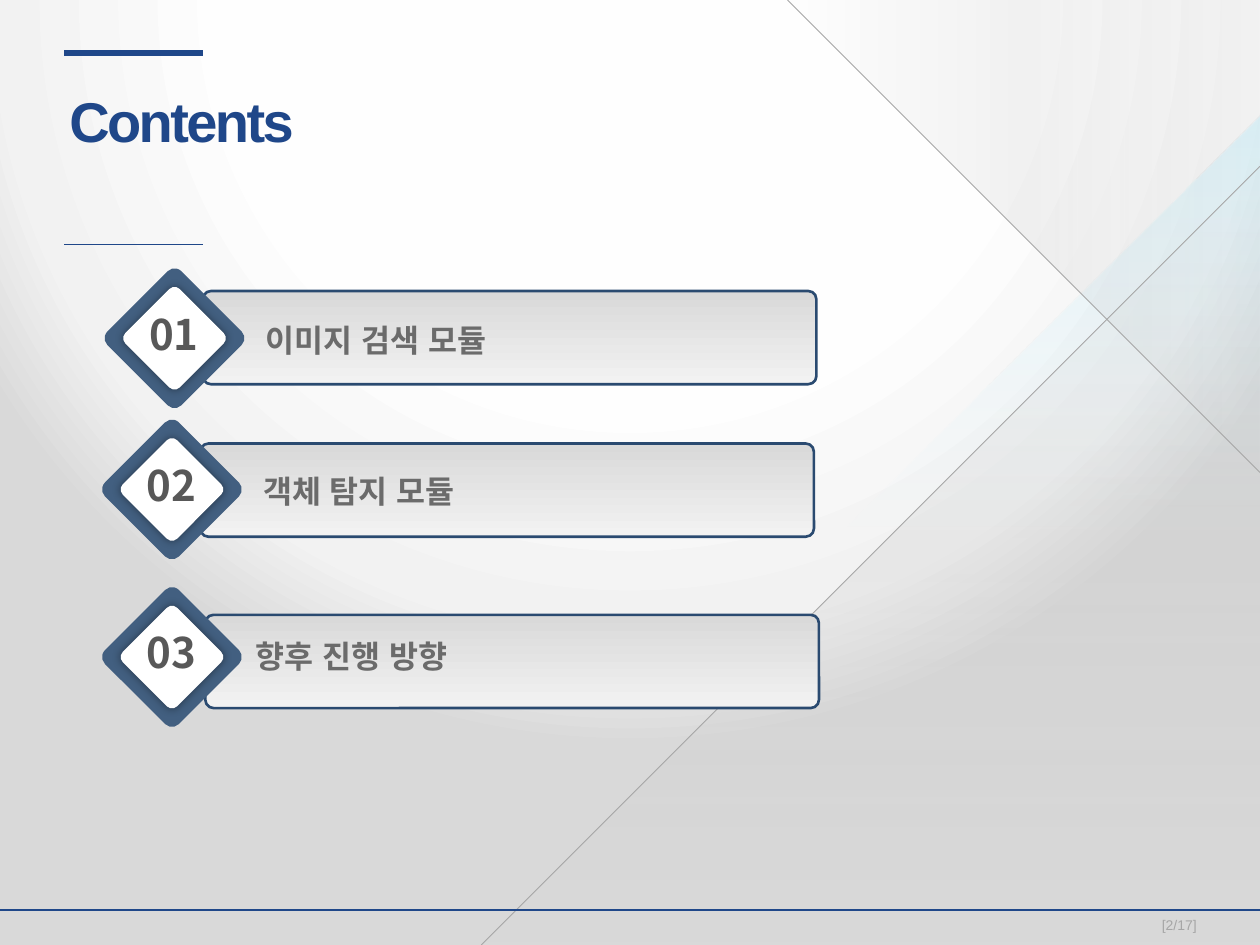
from typing import NamedTuple

import lxml.etree
import pptx
import pptx.dml.color
import pptx.enum.shapes
import pptx.enum.text
import pptx.oxml
import pptx.oxml.ns
import pptx.util

Inches = pptx.util.Inches
Kind = pptx.enum.shapes.MSO_SHAPE
Align = pptx.enum.text.PP_ALIGN
Anchor = pptx.enum.text.MSO_ANCHOR
qn = pptx.oxml.ns.qn

COLORS = {
    "navy": "1F4789", "edge": "2A4A70", "slate": "425F80", "white": "FFFFFF",
    "label": "6B6B6B", "number": "585858", "gray": "A6A6A6", "veil": "BFBFBF",
    "pale": "F2F2F2", "silver": "D9D9D9", "bright": "FEFEFE",
    "ice": "D0F3FE", "sky": "A1E7FC",
}


class Stop(NamedTuple):
    pos: int
    color: str
    alpha: int = 100


class Row(NamedTuple):
    num: str
    text: str
    gem: tuple[float, float]
    bar: tuple[float, float]
    label: tuple[float, float]


class Wedge(NamedTuple):
    box: tuple[float, float, float, float]
    turn: int
    stops: list[Stop]


class Rule(NamedTuple):
    start: tuple[float, float]
    end: tuple[float, float]
    color: str
    width: float


GLOW = [Stop(0, "white"), Stop(50, "bright"), Stop(80, "pale"), Stop(95, "silver")]
SHINE = [Stop(1, "pale"), Stop(99, "silver")]
HAZE = [Stop(0, "veil", 0), Stop(50, "veil", 20), Stop(100, "veil", 0)]
BEAM = [Stop(0, "veil", 0), Stop(50, "ice", 0), Stop(100, "sky", 30)]

WEDGES = [
    Wedge((3.4, 0.9, 6.58, 6.62), 270, BEAM),
    Wedge((3.82, 1.32, 6.18, 6.18), 270, HAZE),
    Wedge((6.25, 0, 3.75, 3.75), 180, HAZE),
]
RULES = [
    Rule((3.82, 7.5), (10, 1.32), "gray", 0.5),
    Rule((6.25, 0), (10, 3.75), "gray", 0.5),
    Rule((0, 7.22), (10, 7.22), "navy", 1),
    Rule((0.51, 0.42), (1.61, 0.42), "navy", 3),
    Rule((0.51, 1.94), (1.61, 1.94), "navy", 1),
]
ROWS = [
    Row("01", "이미지 검색 모듈", (0.97, 2.27), (1.61, 2.31), (1.99, 2.42)),
    Row("02", "객체 탐지 모듈", (0.95, 3.47), (1.59, 3.52), (1.97, 3.62)),
    Row("03", "향후 진행 방향", (0.95, 4.8), (1.63, 4.88), (1.91, 4.93)),
]


def rgb(name: str) -> pptx.dml.color.RGBColor:
    return pptx.dml.color.RGBColor.from_string(COLORS[name])


def shade(props, stops: list[Stop], shape: str) -> None:
    """Swap the solid fill in props for a gradient of the given stops."""
    marks = "".join(
        f'<a:gs pos="{s.pos * 1000}"><a:srgbClr val="{COLORS[s.color]}">'
        f'<a:alpha val="{s.alpha * 1000}"/></a:srgbClr></a:gs>' for s in stops)
    grad = pptx.oxml.parse_xml(
        f'<a:gradFill {pptx.oxml.ns.nsdecls("a")} rotWithShape="1">'
        f"<a:gsLst>{marks}</a:gsLst>{shape}</a:gradFill>")
    props.replace(props.find(qn("a:solidFill")), grad)


def slant(angle: int) -> str:
    return f'<a:lin ang="{angle * 60000}" scaled="0"/>'


def block(slide, kind, box, fill: str, turn: int = 0, round: float | None = None):
    item = slide.shapes.add_shape(kind, *map(Inches, box))
    item.shadow.inherit = False
    item.rotation = turn
    item.fill.solid()
    item.fill.fore_color.rgb = rgb(fill)
    item.line.fill.background()
    if round is not None:
        item.adjustments[0] = round
    return item


def rule(slide, spec: Rule) -> None:
    line = slide.shapes.add_connector(
        pptx.enum.shapes.MSO_CONNECTOR.STRAIGHT, *map(Inches, spec.start + spec.end))
    line.line.color.rgb = rgb(spec.color)
    line.line.width = pptx.util.Pt(spec.width)
    lxml.etree.SubElement(line.element.spPr, qn("a:effectLst"))


def write(item, text: str, *, size: float, color: str, font: str = "Arial",
          bold: bool = False, align=Align.LEFT, wrap: bool = True,
          inset=(0, 0, 0, 0), track: float = 0) -> None:
    frame = item.text_frame
    frame.word_wrap = wrap
    frame.vertical_anchor = Anchor.MIDDLE
    (frame.margin_left, frame.margin_top,
     frame.margin_right, frame.margin_bottom) = map(Inches, inset)
    para = frame.paragraphs[0]
    para.alignment = align
    run = para.add_run()
    run.text = text
    run.font.size = pptx.util.Pt(size)
    run.font.bold = bold
    run.font.name = font
    run.font.color.rgb = rgb(color)
    props = run.font._element
    lxml.etree.SubElement(props, qn("a:ea")).set("typeface", font)
    if track:
        props.set("spc", str(int(track * 100)))


def label(slide, box, text: str, **style) -> None:
    write(slide.shapes.add_textbox(*map(Inches, box)), text, **style)


def glow(item) -> None:
    """Add a soft dark edge around the item."""
    effects = item.element.spPr.find(qn("a:effectLst"))
    effects.append(pptx.oxml.parse_xml(
        f'<a:outerShdw {pptx.oxml.ns.nsdecls("a")} blurRad="{pptx.util.Pt(5)}" '
        'dist="0" dir="0" algn="ctr" rotWithShape="0"><a:srgbClr val="000000">'
        '<a:alpha val="40000"/></a:srgbClr></a:outerShdw>'))


def entry(slide, row: Row) -> None:
    # Bar
    bar = block(slide, Kind.ROUNDED_RECTANGLE, (*row.bar, 4.87, 0.74), "pale", round=0.088)
    shade(bar.element.spPr, SHINE, slant(270))
    bar.line.color.rgb = rgb("edge")
    bar.line.width = pptx.util.Pt(1.5)
    # Diamond with its number
    x, y = row.gem
    block(slide, Kind.ROUNDED_RECTANGLE, (x, y, 0.83, 0.83), "slate", 45, 0.094)
    glow(block(slide, Kind.ROUNDED_RECTANGLE, (x + 0.11, y + 0.11, 0.61, 0.61),
               "white", 45, 0.094))
    disc = block(slide, Kind.OVAL, (x + 0.12, y + 0.16, 0.58, 0.43), "white")
    disc.fill.background()
    write(disc, row.num, size=24, color="number", font="Noto Sans CJK KR", bold=True,
          align=Align.CENTER, wrap=False, inset=(0.1, 0.05, 0.1, 0.05))
    # Topic
    label(slide, (*row.label, 5.34, 0.51), row.text, size=18, color="label",
          bold=True, inset=(0.12, 0.12, 0.16, 0.08))


def main() -> None:
    deck = pptx.Presentation()
    deck.slide_width, deck.slide_height = Inches(10), Inches(7.5)
    slide = deck.slides.add_slide(deck.slide_layouts[6])

    # Backdrop
    slide.background.fill.solid()
    shade(slide.element.find(".//" + qn("p:bgPr")), GLOW,
          '<a:path path="circle"><a:fillToRect l="50000" t="-80000" '
          'r="50000" b="180000"/></a:path>')
    for wedge in WEDGES:
        item = block(slide, Kind.RIGHT_TRIANGLE, wedge.box, "veil", wedge.turn)
        shade(item.element.spPr, wedge.stops, slant(0))
    for spec in RULES:
        rule(slide, spec)

    # Title and page number
    label(slide, (0.55, 0.6, 3.54, 0.71), "Contents", size=32, color="navy",
          bold=True, track=-1.5)
    label(slide, (8.72, 7.24, 1.28, 0.2), "[2/17]", size=8, color="gray",
          align=Align.CENTER)

    # Topics
    for row in ROWS:
        entry(slide, row)

    deck.save("out.pptx")


if __name__ == "__main__":
    main()
